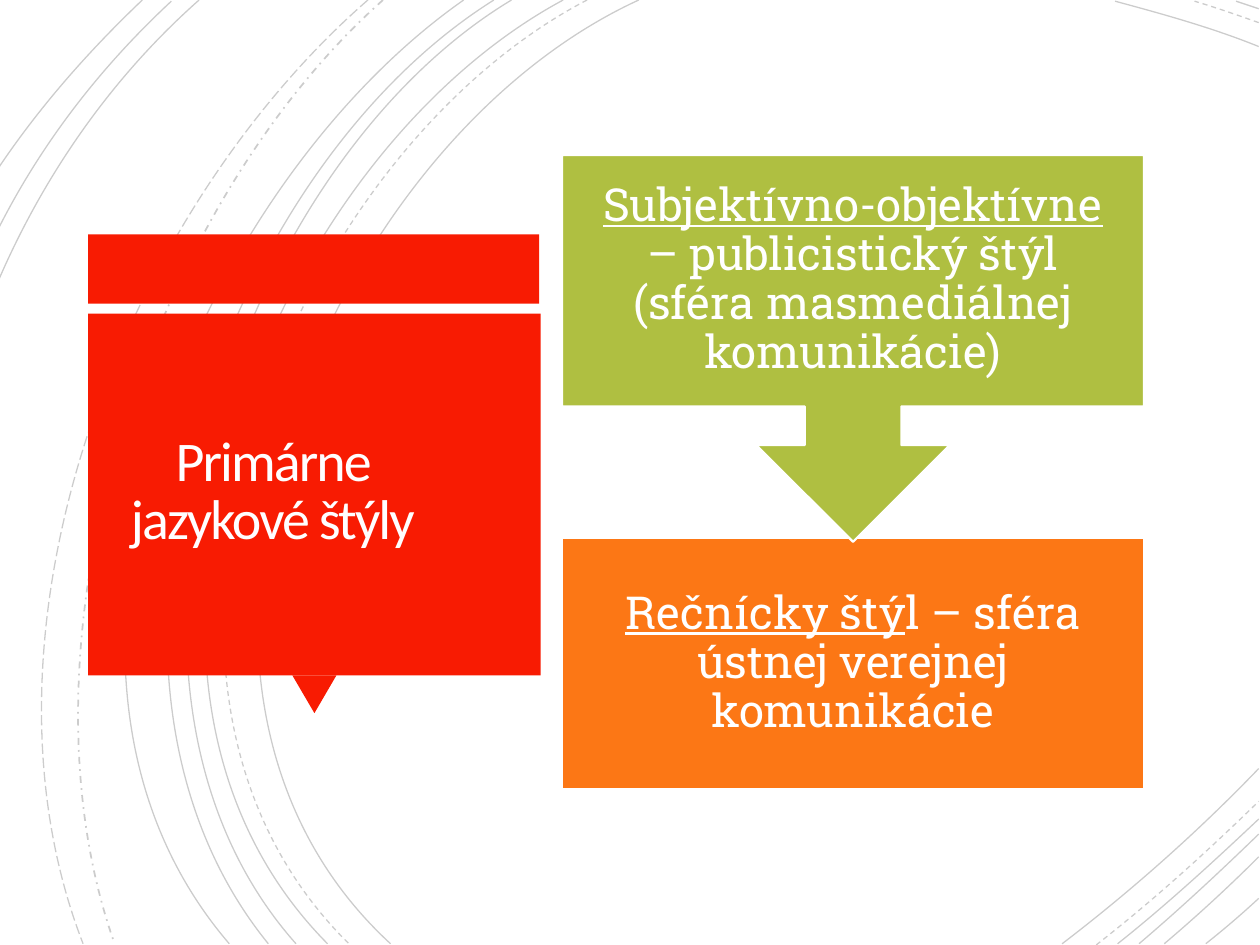
from dataclasses import dataclass

import lxml.etree
import pptx
import pptx.dml.color
import pptx.enum.dml
import pptx.enum.shapes
import pptx.enum.text
import pptx.oxml.ns
import pptx.util
from pptx.util import Inches

COLORS = {
    "red": "F81B02",
    "green": "AFBF41",
    "orange": "FC7715",
    "white": "FFFFFF",
    "title": "FFFEFF",
    "arc": "000000",
}
SHAPE = pptx.enum.shapes.MSO_SHAPE
DASH = pptx.enum.dml.MSO_LINE
qn = pptx.oxml.ns.qn


@dataclass
class Arc:
    points: tuple
    dash: DASH = DASH.SOLID
    weight: float = 0.75


@dataclass
class Block:
    kind: SHAPE
    box: tuple
    color: str
    rotation: int = 0
    border: bool = False


ARCS = [
    Arc(((5.07, 0), (2.56, 1.15), (0.83, 5.4), (3.1, 7.49))),
    Arc(((9.99, 0.37), (9.62, 0.22), (9.22, 0.11), (8.85, 0.01))),
    Arc(((8.43, 7.49), (8.98, 7.07), (9.51, 6.6), (9.99, 6.1))),
    Arc(((4.66, 0), (2.26, 1.25), (0.63, 5.38), (2.77, 7.49)), DASH.DASH),
    Arc(((9.99, 0.18), (9.82, 0.12), (9.65, 0.06), (9.48, 0.01)), DASH.DASH),
    Arc(((8.7, 7.5), (9.15, 7.15), (9.58, 6.76), (9.99, 6.36)), DASH.DASH),
    Arc(((4.47, 0), (2.11, 1.27), (0.5, 5.37), (2.6, 7.49))),
    Arc(((9.99, 0.07), (9.93, 0.05), (9.87, 0.03), (9.81, 0.01))),
    Arc(((8.87, 7.49), (9.26, 7.18), (9.63, 6.84), (9.99, 6.5))),
    Arc(((4.06, 0), (1.85, 1.33), (0.5, 5.41), (2.35, 7.49))),
    Arc(((9.04, 7.49), (9.37, 7.21), (9.68, 6.92), (9.99, 6.62))),
    Arc(((3.92, 0), (1.72, 1.38), (0.38, 5.34), (2.13, 7.49))),
    Arc(((9.24, 7.49), (9.5, 7.27), (9.75, 7.04), (9.99, 6.8))),
    Arc(((3.68, 0), (1.58, 1.47), (-0.07, 5.29), (1.82, 7.49))),
    Arc(((9.57, 7.49), (9.71, 7.38), (9.85, 7.26), (9.99, 7.13))),
    Arc(((3.04, 0), (1.17, 1.66), (0.06, 5.09), (0.91, 7.49)), DASH.DASH_DOT, 1),
    Arc(((2.92, 0), (0.98, 1.69), (-0.31, 4.99), (0.66, 7.49)), DASH.LONG_DASH),
    Arc(((1.58, 0), (0.88, 0.62), (0.35, 1.39), (-0.01, 2.22))),
    Arc(((1.36, 0.01), (0.79, 0.54), (0.33, 1.14), (-0.01, 1.81))),
    Arc(((1.13, 0), (0.71, 0.4), (0.32, 0.84), (-0.01, 1.33))),
]
TITLE_BLOCKS = [
    Block(SHAPE.RECTANGLE, (0.7, 1.86, 3.58, 0.55), "red"),
    Block(SHAPE.ISOSCELES_TRIANGLE, (2.32, 5.36, 0.35, 0.3), "red", 180),
    Block(SHAPE.RECTANGLE, (0.7, 2.49, 3.59, 2.87), "red"),
]
STYLE_LEFT, STYLE_WIDTH, STYLE_HEIGHT = 4.46, 4.62, 1.99
SPEECH_BOX = (STYLE_LEFT, 4.27, STYLE_WIDTH, STYLE_HEIGHT)
MEDIA_BOX = (STYLE_LEFT, 1.23, STYLE_WIDTH, STYLE_HEIGHT)
CALLOUT_BOX = (STYLE_LEFT, 1.23, STYLE_WIDTH, 3.07)


def rgb(name: str) -> pptx.dml.color.RGBColor:
    return pptx.dml.color.RGBColor.from_string(COLORS[name])


def draw_arc(page, arc: Arc) -> None:
    points = [(Inches(x), Inches(y)) for x, y in arc.points]
    builder = page.shapes.build_freeform(*points[0])
    builder.add_line_segments(points[1:], close=False)
    shape = builder.convert_to_shape()
    shape.shadow.inherit = False
    shape.fill.background()
    shape.line.color.rgb = rgb("arc")
    shape.line.width = pptx.util.Pt(arc.weight)
    shape.line.dash_style = arc.dash
    color = shape.line._ln.find(".//" + qn("a:srgbClr"))
    lxml.etree.SubElement(color, qn("a:alpha")).set("val", "20000")
    segments = list(shape._element.iter(qn("a:lnTo")))
    curve = lxml.etree.SubElement(segments[0].getparent(), qn("a:cubicBezTo"))
    for segment in segments:
        curve.append(segment[0])
        segment.getparent().remove(segment)


def draw_block(page, block: Block):
    shape = page.shapes.add_shape(block.kind, *map(Inches, block.box))
    shape.rotation = block.rotation
    shape.shadow.inherit = False
    shape.fill.solid()
    shape.fill.fore_color.rgb = rgb(block.color)
    if block.border:
        shape.line.color.rgb = rgb("white")
        shape.line.width = pptx.util.Pt(1.25)
    else:
        shape.line.fill.background()
    return shape


def add_text(page, box: tuple, text: str, *, underlined: str = "", font: str = "Roboto Slab",
             size: float = 26, color: str = "white", inset: float = 0.2,
             line_spacing: float = 0.9, tracking: int = 0) -> None:
    frame = page.shapes.add_textbox(*map(Inches, box)).text_frame
    frame.word_wrap = True
    frame.vertical_anchor = pptx.enum.text.MSO_ANCHOR.MIDDLE
    frame.margin_left = frame.margin_right = Inches(inset)
    frame.margin_top = frame.margin_bottom = Inches(inset)
    para = frame.paragraphs[0]
    para.alignment = pptx.enum.text.PP_ALIGN.CENTER
    para.line_spacing = line_spacing
    for words, underline in ((underlined, True), (text, False)):
        if not words:
            continue
        span = para.add_run()
        span.text = words
        span.font.name = font
        span.font.size = pptx.util.Pt(size)
        span.font.color.rgb = rgb(color)
        span.font.underline = underline
        if tracking:
            span.font._element.set("spc", str(tracking))


def main() -> None:
    deck = pptx.Presentation()
    deck.slide_width, deck.slide_height = Inches(10), Inches(7.5)
    page = deck.slides.add_slide(deck.slide_layouts[6])
    for arc in ARCS:
        draw_arc(page, arc)
    for block in TITLE_BLOCKS:
        draw_block(page, block)
    add_text(page, (0.73, 2.57, 2.87, 2.69), "Primárne jazykové štýly", font="Calibri",
             size=32, color="title", inset=0.25, line_spacing=0.85, tracking=-110)
    draw_block(page, Block(SHAPE.RECTANGLE, SPEECH_BOX, "orange", border=True))
    add_text(page, SPEECH_BOX, "l – sféra ústnej verejnej komunikácie", underlined="Rečnícky štý")
    callout = draw_block(page, Block(SHAPE.UP_ARROW_CALLOUT, CALLOUT_BOX, "green", 180, True))
    callout.adjustments[3] = 0.65
    add_text(page, MEDIA_BOX, " – publicistický štýl (sféra masmediálnej komunikácie)",
             underlined="Subjektívno-objektívne")
    deck.save("out.pptx")


if __name__ == "__main__":
    main()
